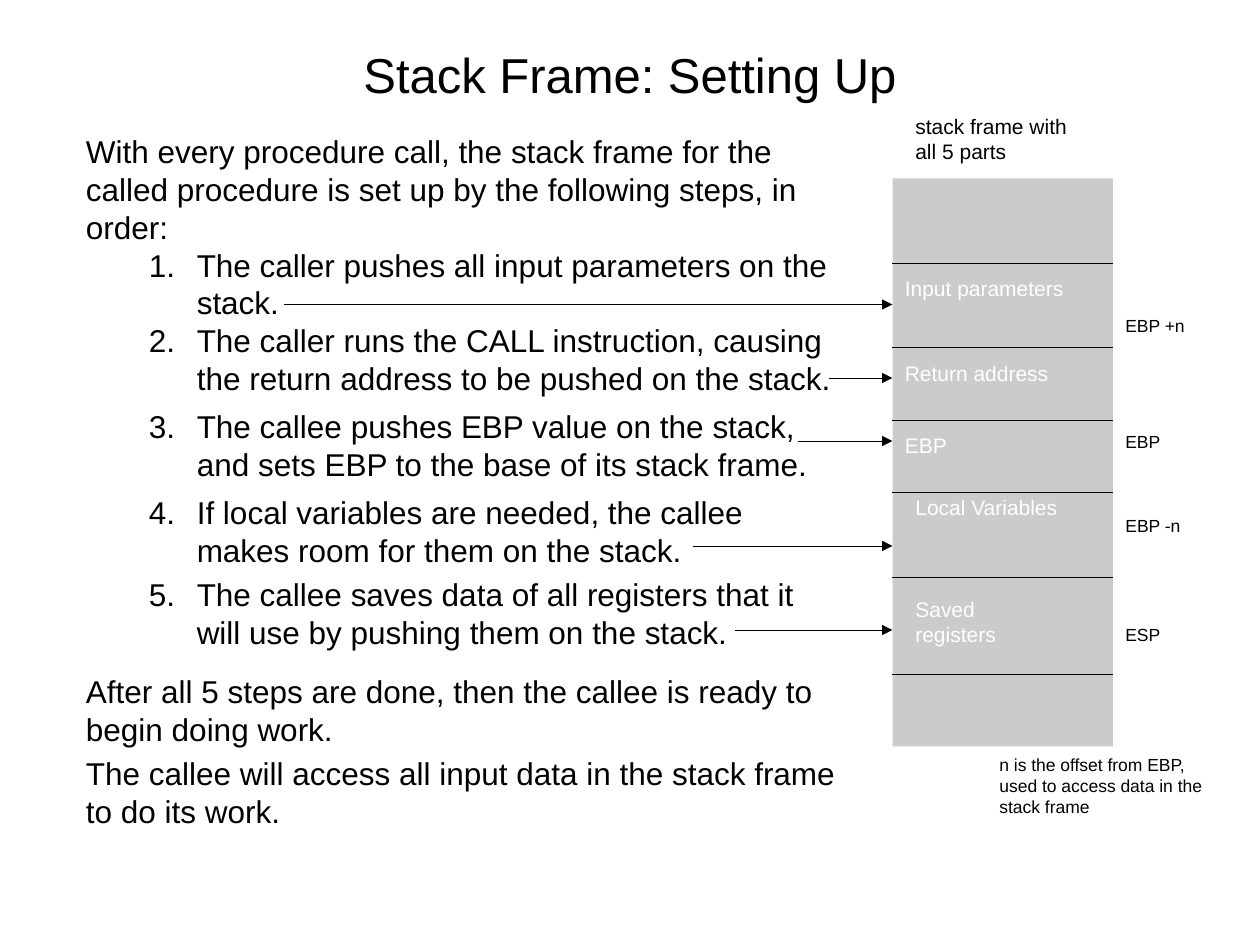
from itertools import accumulate

from lxml.etree import SubElement
from pptx import Presentation
from pptx.dml.color import RGBColor
from pptx.enum.shapes import MSO_CONNECTOR, MSO_SHAPE
from pptx.enum.text import MSO_ANCHOR, MSO_AUTO_SIZE, PP_ALIGN
from pptx.oxml.ns import qn
from pptx.util import Inches, Pt

COLUMNS, ROWS = 120, 90
CELL = Inches(10) / COLUMNS
BLACK, WHITE, GREY = "000000", "FFFFFF", "CBCBCB"

INTRODUCTION = ("With every procedure call, the stack frame for the called procedure "
                "is set up by the following steps, in order:")
STEPS = [
    ("The caller pushes all input parameters on the stack.", 0),
    ("The caller runs the CALL instruction, causing the return address "
     "to be pushed on the stack.", 0),
    ("The callee pushes EBP value on the stack, and sets EBP to the base "
     "of its stack frame.", 6),
    ("If local variables are needed, the callee makes room for them on the stack.", 6),
    ("The callee saves data of all registers that it will use by pushing "
     "them on the stack.", 3.6),
]
CLOSING = [
    ("After all 5 steps are done, then the callee is ready to begin doing work.", 12),
    ("The callee will access all input data in the stack frame to do its work.", 3.6),
]
STEP_ARROWS = [(27, 29), (79, 36), (76, 42), (66, 52), (70, 60)]
SLOT_UNITS = [7, 7, 6, 6, 7, 8, 6]
SLOT_LABELS = [("Input parameters", 0, 0, 18), ("Return address", 0, 0, 17),
               ("EBP", 0, 0, 20), ("Local Variables", 1, -1, 16),
               ("Saved registers", 1, 0, 16)]
POINTERS = [("EBP +n", 29, 11), ("EBP", 40, 7), ("EBP -n", 48, 8), ("ESP", 58.4, 7)]


def color(value):
    """Turn a hex string into a colour."""
    return RGBColor.from_string(value)


def cells(*counts):
    """Turn counts of grid cells into lengths."""
    return [round(count * CELL) for count in counts]


def style(paragraph, size, shade=BLACK):
    """Set the font of a paragraph."""
    paragraph.font.name = "Arial"
    paragraph.font.size = Pt(size)
    paragraph.font.color.rgb = color(shade)


def add_text(shapes, box, text, size, shade=BLACK, margin=0.05):
    """Add a wrapping text box holding one paragraph and return its frame."""
    frame = shapes.add_textbox(*cells(*box)).text_frame
    frame.word_wrap = True
    frame.margin_top = frame.margin_bottom = Inches(margin)
    frame.text = text
    style(frame.paragraphs[0], size, shade)
    return frame


def add_label(shapes, box, text, size, shade=BLACK):
    """Add a small label whose box fits its text."""
    frame = add_text(shapes, box, text, size, shade, margin=0.15)
    frame.auto_size = MSO_AUTO_SIZE.SHAPE_TO_FIT_TEXT


def add_line(shapes, start, end, arrow=False):
    """Add a thin straight line, with an arrowhead if asked."""
    line = shapes.add_connector(MSO_CONNECTOR.STRAIGHT, *cells(*start, *end))
    line.line.color.rgb = color(BLACK)
    line.line.width = Pt(0.5)
    if arrow:
        SubElement(line.line._get_or_add_ln(), qn("a:tailEnd"), type="triangle")
    SubElement(line._element.spPr, qn("a:effectLst"))


def add_title(slide, box):
    """Place the centred title in its box."""
    frame = add_text(slide.shapes, box, "Stack Frame: Setting Up", 28)
    frame.vertical_anchor = MSO_ANCHOR.MIDDLE
    frame.paragraphs[0].alignment = PP_ALIGN.CENTER


def add_steps(slide, box):
    """Place the introduction, the numbered steps and the closing remarks."""
    frame = add_text(slide.shapes, box, INTRODUCTION, 18)
    for text, space in STEPS + CLOSING:
        paragraph = frame.add_paragraph()
        paragraph.text = text
        paragraph.space_before = Pt(space)
        if (text, space) in STEPS:
            paragraph.level = 1
            properties = paragraph._p.get_or_add_pPr()
            properties.set("marL", str(Inches(0.88)))
            properties.set("indent", str(Inches(-0.38)))
            SubElement(properties, qn("a:buFont"), typeface="Arial")
            SubElement(properties, qn("a:buAutoNum"), type="arabicPeriod")
        style(paragraph, 18)


def add_stack(slide, box):
    """Draw the stack with its slots, labels and pointers."""
    left, top, width, height = box
    right = left + width
    shapes = slide.shapes.add_group_shape().shapes
    stack = shapes.add_shape(MSO_SHAPE.RECTANGLE, *cells(*box))
    stack.shadow.inherit = False
    stack.fill.solid()
    stack.fill.fore_color.rgb = color(GREY)
    stack.line.fill.background()
    unit = height / sum(SLOT_UNITS)
    edges = [top + unit * total for total in accumulate(SLOT_UNITS[:-1])]
    for edge in edges:
        add_line(shapes, (left, edge), (right, edge))
    for edge, (text, across, down, span) in zip(edges, SLOT_LABELS):
        add_label(shapes, (left + across, edge + down, span, 7), text, 12, WHITE)
    for text, row, span in POINTERS:
        add_label(shapes, (right, row, span, 6), text, 10)
    add_label(shapes, (left + 1, top - 8, 18, 9.6), "stack frame with all 5 parts", 12)
    add_label(shapes, (left + 9, top + 53, 22, 11),
              "n is the offset from EBP, used to access data in the stack frame", 10)


def add_step_arrows(slide, stack_left):
    """Point each step at the stack."""
    for column, row in STEP_ARROWS:
        add_line(slide.shapes, (column, row), (stack_left, row), arrow=True)


def main():
    """Build and save the slide."""
    presentation = Presentation()
    presentation.slide_width, presentation.slide_height = cells(COLUMNS, ROWS)
    slide = presentation.slides.add_slide(presentation.slide_layouts[6])
    stack_box = (85, 17, 21, 54.1)
    add_title(slide, (9, 3, 102, 8))
    add_steps(slide, (7, 12, 74, 70))
    add_stack(slide, stack_box)
    add_step_arrows(slide, stack_box[0])
    presentation.save("out.pptx")


if __name__ == "__main__":
    main()
